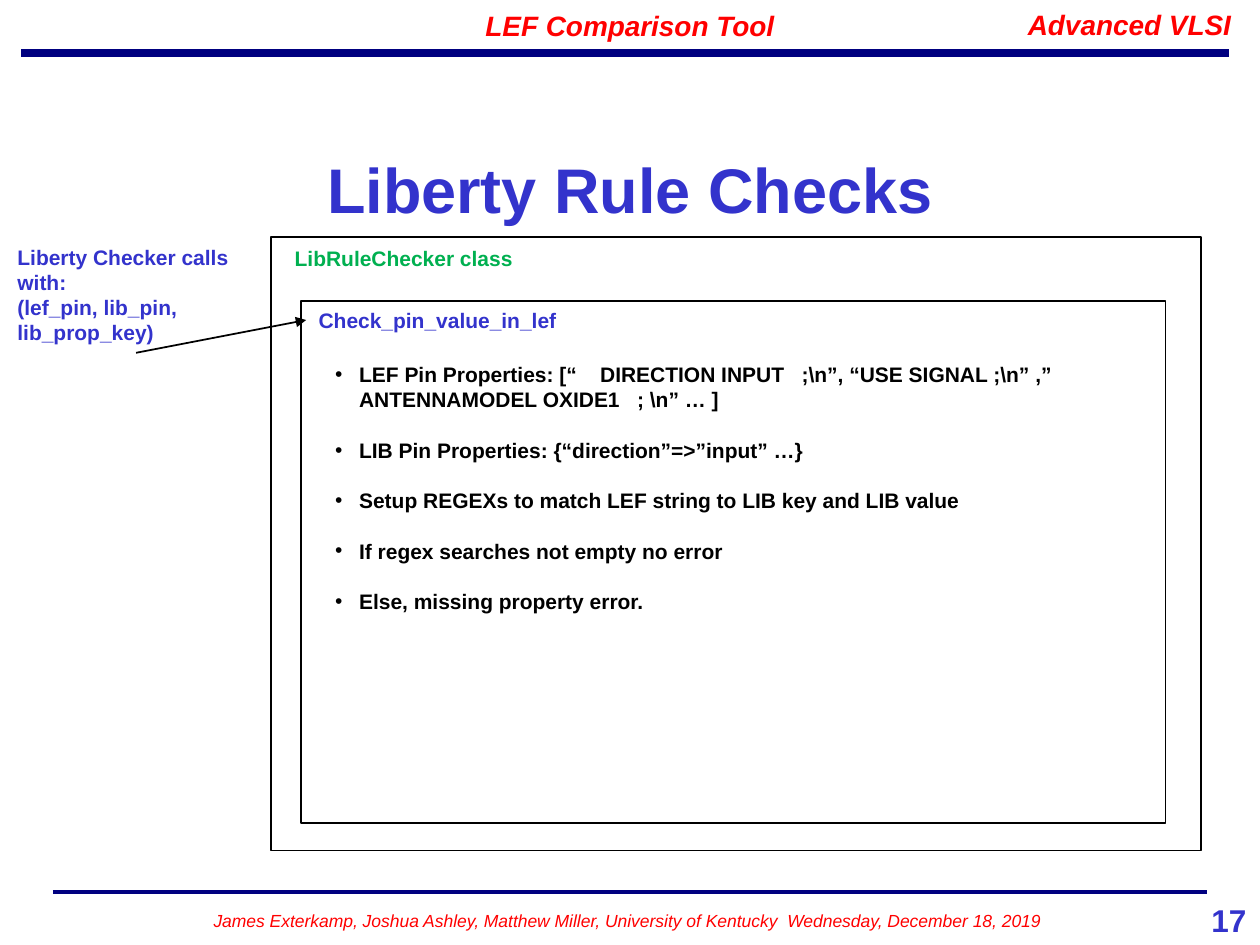
from dataclasses import dataclass

from lxml import etree
from pptx import Presentation
from pptx.dml.color import RGBColor
from pptx.enum.shapes import MSO_CONNECTOR, MSO_SHAPE
from pptx.enum.text import MSO_ANCHOR, MSO_AUTO_SIZE, PP_ALIGN
from pptx.oxml.ns import qn
from pptx.util import Inches, Pt

LEFT, CENTER, RIGHT = PP_ALIGN.LEFT, PP_ALIGN.CENTER, PP_ALIGN.RIGHT
TOP, MIDDLE = MSO_ANCHOR.TOP, MSO_ANCHOR.MIDDLE
NO_AUTOFIT = MSO_AUTO_SIZE.NONE
STRAIGHT = MSO_CONNECTOR.STRAIGHT
RECTANGLE = MSO_SHAPE.RECTANGLE


@dataclass(frozen=True)
class Theme:
    font: str = "Arial"
    navy: RGBColor = RGBColor(0x00, 0x00, 0x80)
    blue: RGBColor = RGBColor(0x33, 0x33, 0xCC)
    red: RGBColor = RGBColor(0xFF, 0x00, 0x00)
    green: RGBColor = RGBColor(0x00, 0xB0, 0x50)
    black: RGBColor = RGBColor(0x00, 0x00, 0x00)
    title: Pt = Pt(36)
    number: Pt = Pt(18)
    header: Pt = Pt(16)
    body: Pt = Pt(12)
    footer: Pt = Pt(10)
    body_line: Pt = Pt(14.4)


theme = Theme()


def write_text(shape, box, lines, size, color, align=LEFT, anchor=TOP, bold=True, italic=False):
    shape.left, shape.top, shape.width, shape.height = [Inches(value) for value in box]
    frame = shape.text_frame
    frame.text = "\n".join(lines)
    frame.word_wrap = True
    frame.auto_size = NO_AUTOFIT
    frame.vertical_anchor = anchor
    for paragraph in frame.paragraphs:
        paragraph.alignment = align
        paragraph.space_before = Pt(0)
        if size == theme.body:
            paragraph.line_spacing = theme.body_line
        font = paragraph.font
        font.name, font.size, font.bold, font.italic = theme.font, size, bold, italic
        font.color.rgb = color


def add_line(start, end, color, width):
    line = slide.shapes.add_connector(STRAIGHT, *[Inches(value) for value in start + end])
    line.line.color.rgb = color
    line.line.width = Pt(width)
    etree.SubElement(line._element.spPr, qn("a:effectLst"))
    return line


presentation = Presentation()
presentation.slide_width, presentation.slide_height = Inches(10), Inches(7.5)
slide = presentation.slides.add_slide(presentation.slide_layouts[1])

add_line((0.17, 0.42), (9.75, 0.42), theme.navy, 4.5)
add_line((0.42, 7.08), (9.58, 7.08), theme.navy, 2.25)

write_text(slide.shapes.title, (0.75, 1.08, 8.5, 0.83), ["Liberty Rule Checks"],
           theme.title, theme.blue, CENTER, MIDDLE)

for box in [(2.15, 1.88, 7.38, 4.87), (2.39, 2.39, 6.86, 4.14)]:
    frame_box = slide.shapes.add_shape(RECTANGLE, *[Inches(value) for value in box])
    frame_box.shadow.inherit = False
    frame_box.fill.background()
    frame_box.line.color.rgb = theme.black
    frame_box.line.width = Pt(1)

labels = [
    ((7.93, 0.01, 1.94, 0.37), ["Advanced VLSI"], theme.header, theme.red, RIGHT, TOP, True, True),
    ((0, 0.02, 10, 0.37), ["LEF Comparison Tool"], theme.header, theme.red, CENTER, TOP, True, True),
    ((0.42, 7.17, 9.11, 0.27),
     ["James Exterkamp, Joshua Ashley, Matthew Miller, University of Kentucky  Wednesday, December 18, 2019"],
     theme.footer, theme.red, CENTER, TOP, False, True),
    ((9, 7.1, 0.99, 0.4), ["17"], theme.number, theme.blue, RIGHT),
    ((2.43, 2.39, 2.35, 0.3), ["Check_pin_value_in_lef"], theme.body, theme.blue),
    ((2.24, 1.9, 2.32, 0.3), ["LibRuleChecker class"], theme.body, theme.green),
    ((0.04, 1.89, 2.07, 0.91), ["Liberty Checker calls with:", "(lef_pin, lib_pin, lib_prop_key)"],
     theme.body, theme.blue),
]
for box, *text in labels:
    write_text(slide.shapes.add_textbox(0, 0, 0, 0), box, *text)

steps = [
    "LEF Pin Properties: [“    DIRECTION INPUT   ;\\n”, “USE SIGNAL ;\\n” ,” ANTENNAMODEL OXIDE1   ; \\n” … ]",
    "LIB Pin Properties: {“direction”=>”input” …}",
    "Setup REGEXs to match LEF string to LIB key and LIB value",
    "If regex searches not empty no error",
    "Else, missing property error.",
]
step_list = slide.placeholders[1]
write_text(step_list, (2.56, 2.82, 6.55, 2.32), steps, theme.body, theme.black)
for paragraph in step_list.text_frame.paragraphs:
    paragraph.space_after = theme.body_line
    properties = paragraph._p.get_or_add_pPr()
    properties.set("marL", str(Inches(0.19)))
    properties.set("indent", str(Inches(-0.19)))
    bullet = etree.Element(qn("a:buChar"), char="•")
    properties.find(qn("a:defRPr")).addprevious(bullet)

call_arrow = add_line((1.08, 2.8), (2.43, 2.54), theme.black, 1)
etree.SubElement(call_arrow.line._get_or_add_ln(), qn("a:tailEnd"), type="triangle")

presentation.save("out.pptx")
